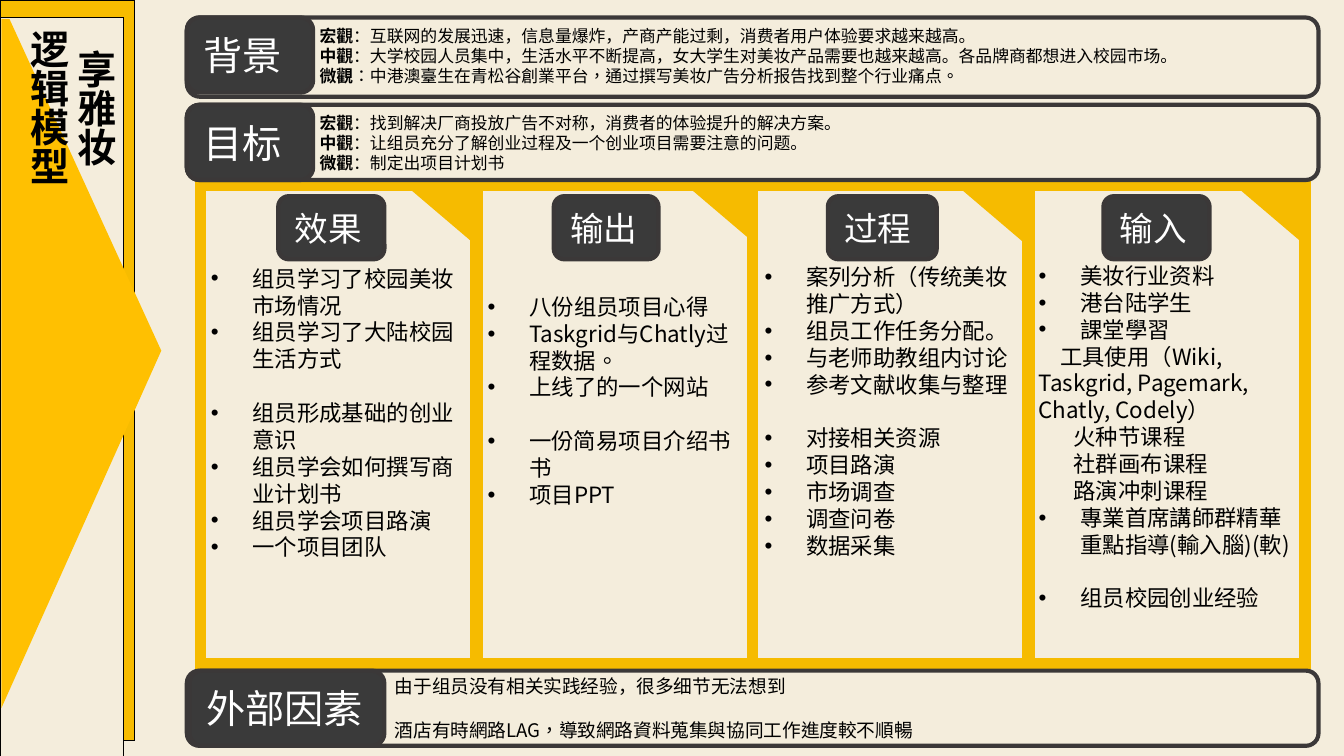
from pptx import Presentation
from pptx.dml.color import RGBColor
from pptx.enum.shapes import MSO_SHAPE
from pptx.enum.text import MSO_ANCHOR, PP_ALIGN
from pptx.oxml.ns import qn
from pptx.util import Inches, Pt
from lxml import etree

RECT = MSO_SHAPE.RECTANGLE
ROUND = MSO_SHAPE.ROUNDED_RECTANGLE
TRIANGLE = MSO_SHAPE.RIGHT_TRIANGLE
TOP, MIDDLE = MSO_ANCHOR.TOP, MSO_ANCHOR.MIDDLE
LEFT = PP_ALIGN.LEFT
CREAM = RGBColor(0xF4, 0xED, 0xDC)
GOLD = RGBColor(0xF6, 0xBB, 0x00)
BAR_GOLD = RGBColor(0xF7, 0xBC, 0x00)
ARROW_GOLD = RGBColor(0xFF, 0xC0, 0x01)
DARK = RGBColor(0x3A, 0x3A, 0x3A)
EDGE = RGBColor(0x3B, 0x38, 0x38)
BLACK = RGBColor(0, 0, 0)
WHITE = RGBColor(255, 255, 255)
LATO, NOTO = "Lato", "Noto Sans CJK TC"

prs = Presentation()
prs.slide_width, prs.slide_height = Inches(10), Inches(5.625)
s = prs.slides.add_slide(prs.slide_layouts[6])
s.background.fill.solid()
s.background.fill.fore_color.rgb = CREAM


def add_box(kind, x, y, w, h, fill=None, line=EDGE, width=2.25):
    sp = s.shapes.add_shape(kind, Inches(x), Inches(y), Inches(w), Inches(h))
    sp.shadow.inherit = False
    if fill is None:
        sp.fill.background()
    else:
        sp.fill.solid()
        sp.fill.fore_color.rgb = fill
    sp.line.color.rgb = line
    sp.line.width = Pt(width)
    etree.SubElement(sp.line._get_or_add_ln(), qn("a:miter")).set("lim", "800000")
    return sp


def write(sp, paragraphs, size, font=NOTO, color=BLACK, bold=False, anchor=TOP):
    """Each paragraph is (text, options): lead, bullet, gap, indent, margin, lang."""
    tf = sp.text_frame
    tf.word_wrap = True
    tf.vertical_anchor = anchor
    tf.margin_right = Inches(0.09)
    for i, (text, opt) in enumerate(paragraphs):
        p = tf.paragraphs[0] if i == 0 else tf.add_paragraph()
        p.alignment = LEFT
        p.line_spacing = Pt(size * 1.2)
        p.space_before = Pt(opt.get("gap", 0) * size * 1.2)
        margin, indent = opt.get("margin", 0), opt.get("indent", 0)
        if opt.get("bullet"):
            margin, indent = 0.31, -0.31
        pPr = p._p.get_or_add_pPr()
        pPr.set("marL", str(Inches(margin)))
        pPr.set("indent", str(Inches(indent)))
        if opt.get("bullet"):
            etree.SubElement(pPr, qn("a:buFont")).set("typeface", "Arial")
            etree.SubElement(pPr, qn("a:buChar")).set("char", "•")
        for part, strong in ((opt.get("lead"), True), (text, bold)):
            if not part:
                continue
            r = p.add_run()
            r.text = part
            r.font.size, r.font.name = Pt(size), font
            r.font.bold = strong
            r.font.color.rgb = color
            rPr = r._r.get_or_add_rPr()
            if opt.get("lang"):
                rPr.set("lang", opt["lang"])
            if font == NOTO:
                etree.SubElement(rPr, qn("a:ea")).set("typeface", font)
    return sp


def item(text, **opt):
    return text, {"bullet": True, **opt}


# Column frames and corner triangles
for x in (7.66, 5.6, 3.55, 1.49):
    add_box(RECT, x, 1.38, 2.05, 3.56, line=GOLD, width=6)
for x in (3.07, 5.16, 7.17, 9.24):
    corner = add_box(TRIANGLE, x, 1.35, 0.4, 0.47, GOLD, GOLD, 1)
    corner.rotation = 90
    corner._element.spPr.xfrm.set("flipV", "1")

# Horizontal bands with their labels
for y, h in ((0.78, 0.56), (0.13, 0.59), (4.99, 0.56)):
    add_box(ROUND, 1.39, y, 8.42, h)
for text, x, y, w in (("目标", 1.39, 0.78, 0.94), ("背景", 1.39, 0.13, 0.94),
                      ("外部因素", 1.41, 4.99, 1.45)):
    write(add_box(ROUND, x, y, w, 0.56, DARK), [(text, {})], 21, LATO, WHITE, anchor=MIDDLE)

# Column headings
for text, x, w in (("效果", 2.07, 0.79), ("输出", 4.12, 0.78),
                   ("过程", 6.16, 0.81), ("输入", 8.21, 0.79)):
    write(add_box(ROUND, x, 1.46, w, 0.47, DARK), [(text, {})], 18, LATO, WHITE, anchor=MIDDLE)

# Side banner with arrow
add_box(RECT, 0, 0, 1, 5.51, BAR_GOLD, BLACK, 0.75)
add_box(RECT, 0, 0.13, 0.92, 5.5, CREAM, BLACK, 0.75)
outline = s.shapes.build_freeform(Inches(0.01), Inches(0.14))
outline.add_line_segments([(Inches(x), Inches(y)) for x, y in
                           ((0.07, 0.14), (1.2, 2.61), (0.01, 5.27))])
arrow = outline.convert_to_shape()
arrow.shadow.inherit = False
arrow.fill.solid()
arrow.fill.fore_color.rgb = ARROW_GOLD
arrow.line.fill.background()

# Vertical title
title = s.shapes.add_textbox(Inches(0.03), Inches(0.13), Inches(0.91), Inches(5.5))
write(title, [("享雅妆", {"margin": 0.15}), ("逻辑模型", {})], 21, LATO, bold=True)
title.text_frame.margin_top = Inches(0.09)
title.text_frame.margin_right = Inches(0.05)
title.text_frame._txBody.bodyPr.set("vert", "eaVert")

# Body texts
background = [
    ("：互联网的发展迅速，信息量爆炸，产商产能过剩，消费者用户体验要求越来越高。", {"lead": "宏觀"}),
    ("：大学校园人员集中，生活水平不断提高，女大学生对美妆产品需要也越来越高。各品牌商都想进入校园市场。",
     {"lead": "中觀"}),
    ("：中港澳臺生在青松谷創業平台，通过撰写美妆广告分析报告找到整个行业痛点。",
     {"lead": "微觀", "lang": "zh-TW"}),
]
goals = [
    ("：找到解决厂商投放广告不对称，消费者的体验提升的解决方案。", {"lead": "宏觀"}),
    ("：让组员充分了解创业过程及一个创业项目需要注意的问题。", {"lead": "中觀"}),
    ("：制定出项目计划书", {"lead": "微觀"}),
]
external = [
    ("由于组员没有相关实践经验，很多细节无法想到", {}),
    ("酒店有時網路LAG，導致網路資料蒐集與協同工作進度較不順暢", {"gap": 1, "lang": "zh-TW"}),
]
effects = [
    item("组员学习了校园美妆市场情况"),
    item("组员学习了大陆校园生活方式"),
    item("组员形成基础的创业意识", gap=1),
    item("组员学会如何撰写商业计划书"),
    item("组员学会项目路演"),
    item("一个项目团队"),
]
outputs = [
    item("八份组员项目心得"),
    item("Taskgrid与Chatly过程数据。", lang="zh-TW"),
    item("上线了的一个网站"),
    item("一份简易项目介绍书书", gap=1),
    item("项目PPT"),
]
process = [
    item("案列分析（传统美妆推广方式）"),
    item("组员工作任务分配。"),
    item("与老师助教组内讨论"),
    item("参考文献收集与整理"),
    item("对接相关资源", gap=1),
    item("项目路演"),
    item("市场调查"),
    item("调查问卷"),
    item("数据采集"),
]
inputs = [
    item("美妆行业资料"),
    item("港台陆学生"),
    item("課堂學習"),
    ("工具使用（Wiki, Taskgrid, Pagemark, Chatly, Codely）", {"indent": 0.16}),
    ("火种节课程", {"indent": 0.26}),
    ("社群画布课程", {"indent": 0.26}),
    ("路演冲刺课程", {"indent": 0.26}),
    item("專業首席講師群精華重點指導(輸入腦)(軟)"),
    item("组员校园创业经验", gap=1),
]
# Left, top, width, height, top inset, size, paragraphs
for x, y, w, h, inset, size, paragraphs in (
        (2.28, 0.14, 7.64, 0.55, 0.05, 9, background),
        (2.28, 0.79, 7.27, 0.55, 0.05, 9, goals),
        (2.84, 4.97, 7.08, 0.6, 0.05, 10, external),
        (1.47, 1.93, 2.02, 2.52, 0.04, 12, effects),
        (5.59, 1.91, 2.01, 2.52, 0.05, 12, process),
        (7.63, 1.89, 2.15, 3.57, 0.06, 12, inputs),
        (3.53, 1.93, 2.07, 1.92, 0.25, 12, outputs)):
    tb = s.shapes.add_textbox(Inches(x), Inches(y), Inches(w), Inches(h))
    write(tb, paragraphs, size).text_frame.margin_top = Inches(inset)

prs.save("out.pptx")
